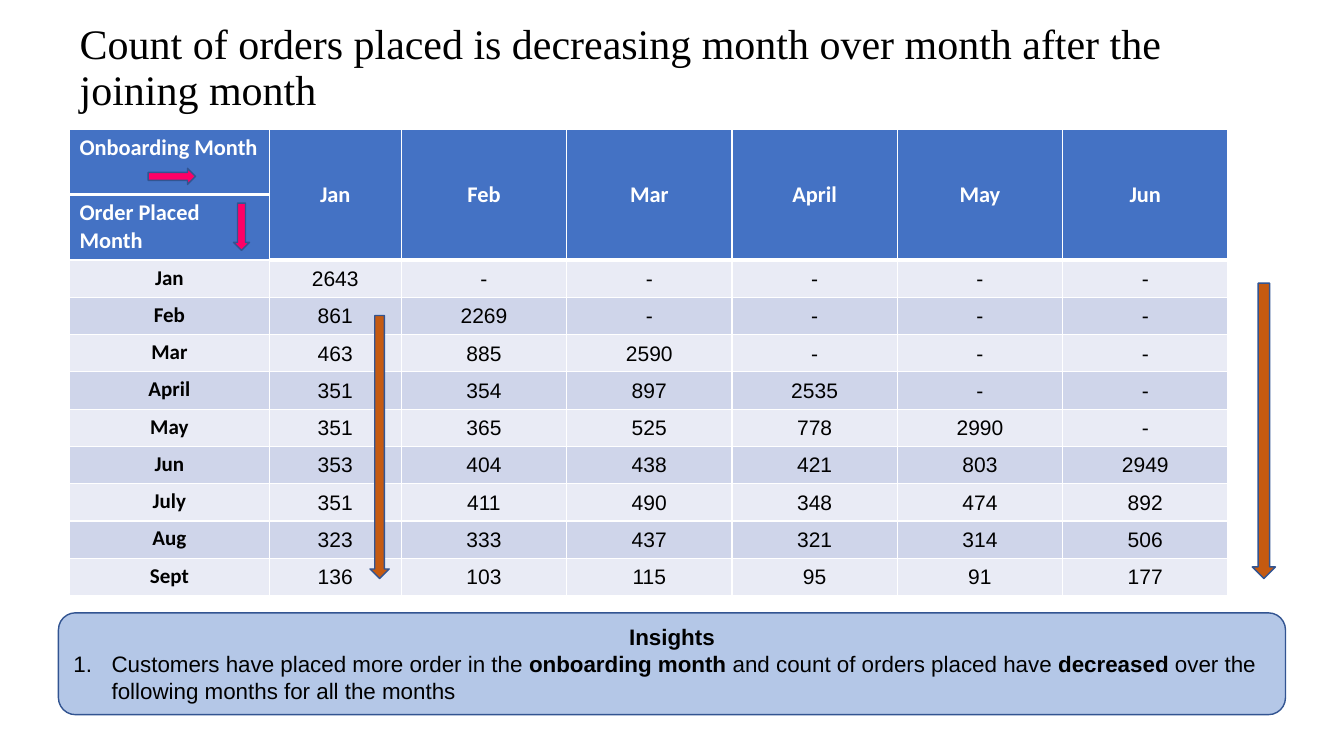
"""Build the slide on orders placed per onboarding month."""
from lxml import etree
from pptx import Presentation
from pptx import util as u
from pptx.dml.color import RGBColor
from pptx.enum import shapes, text
from pptx.oxml import ns

HUES = {"head": "4472C4", "odd": "E9EBF5", "even": "CFD5EA", "white": "FFFFFF",
        "black": "000000", "pink": "FF0066", "rust": "C55A11",
        "panel": "B4C7E7", "edge": "325491"}
WIDE, HIGH = 13.33, 7.5
LEFT, TOP, SPAN = 0.69, 1.28, 11.5
COLS = [1.98, 1.31] + [1.64] * 5
ROWS = [0.65] * 2 + [0.37] * 9
HEADS = ["Jan", "Feb", "Mar", "April", "May", "Jun"]
COUNTS = {
    "Jan": [2643],
    "Feb": [861, 2269],
    "Mar": [463, 885, 2590],
    "April": [351, 354, 897, 2535],
    "May": [351, 365, 525, 778, 2990],
    "Jun": [353, 404, 438, 421, 803, 2949],
    "July": [351, 411, 490, 348, 474, 892],
    "Aug": [323, 333, 437, 321, 314, 506],
    "Sept": [136, 103, 115, 95, 91, 177],
}


def style(para, face, size, hue="black", bold=False, align=text.PP_ALIGN.CENTER):
    para.alignment = align
    para.font.name, para.font.size, para.font.bold = face, u.Pt(size), bold
    para.font.color.rgb = RGBColor.from_string(HUES[hue])


def draw(kind, box, hue, turn=0):
    item = slide.shapes.add_shape(kind, *map(u.Inches, box))
    item.rotation = turn
    item.shadow.inherit = False
    item.fill.solid()
    item.fill.fore_color.rgb = RGBColor.from_string(HUES[hue])
    item.line.color.rgb = RGBColor.from_string(HUES["edge"])
    item.line.width = u.Pt(1)
    return item


deck = Presentation()
deck.slide_width, deck.slide_height = u.Inches(WIDE), u.Inches(HIGH)
slide = deck.slides.add_slide(deck.slide_layouts[5])

title = slide.shapes.title
title.left, title.top, title.width, title.height = map(
    u.Inches, (LEFT, 0.26, SPAN, 0.85))
title.text = ("Count of orders placed is decreasing month over month "
              "after the joining month")
title.text_frame.vertical_anchor = text.MSO_ANCHOR.MIDDLE
para = title.text_frame.paragraphs[0]
para.line_spacing = 0.9
style(para, "Times New Roman", 30, align=text.PP_ALIGN.LEFT)

grid = slide.shapes.add_table(
    len(ROWS), len(COLS), *map(u.Inches, (LEFT, TOP, SPAN, sum(ROWS)))).table
for col, size in zip(grid.columns, COLS):
    col.width = u.Inches(size)
for row, size in zip(grid.rows, ROWS):
    row.height = u.Inches(size)

lines = [["Onboarding Month"] + HEADS, ["Order Placed Month"] + [""] * len(HEADS)]
for month, counts in COUNTS.items():
    lines.append([month] + counts + ["-"] * (len(HEADS) - len(counts)))

for r, line in enumerate(lines):
    for c, value in enumerate(line):
        cell = grid.cell(r, c)
        cell.text = str(value)
        para = cell.text_frame.paragraphs[0]
        if r < 2:
            fill = "head"
            side = text.PP_ALIGN.CENTER if c else text.PP_ALIGN.LEFT
            style(para, "Calibri", 16, "white", True, side)
        else:
            fill = "even" if r % 2 else "odd"
            style(para, "Arial" if c else "Calibri", 15, bold=c == 0)
        if c:
            cell.vertical_anchor = text.MSO_ANCHOR.MIDDLE
        if c and r > 1:
            cell.margin_left = cell.margin_right = cell.margin_top = u.Inches(0.01)
            cell.margin_bottom = 0
        props = cell._tc.get_or_add_tcPr()
        for tag in ("lnL", "lnR", "lnT", "lnB"):
            thick = tag == "lnB" and (r == 0 or r == 1 and c > 0)
            rule = etree.SubElement(props, ns.qn(f"a:{tag}"),
                                    w=str(u.Pt(3 if thick else 1)))
            paint = etree.SubElement(rule, ns.qn("a:solidFill"))
            etree.SubElement(paint, ns.qn("a:srgbClr"), val=HUES["white"])
        cell.fill.solid()
        cell.fill.fore_color.rgb = RGBColor.from_string(HUES[fill])
for c in range(1, len(COLS)):
    grid.cell(0, c).merge(grid.cell(1, c))

arrow = shapes.MSO_SHAPE.RIGHT_ARROW
for box, hue, turn in [
    ((1.47, 1.67, 0.47, 0.16), "pink", 0),
    ((2.16, 2.17, 0.47, 0.16), "pink", 90),
    ((11.07, 4.16, 2.93, 0.23), "rust", 90),
    ((2.46, 4.34, 2.61, 0.19), "rust", 90),
]:
    draw(arrow, box, hue, turn)

panel = draw(shapes.MSO_SHAPE.ROUNDED_RECTANGLE, (0.58, 6.08, 12.17, 1.01), "panel")
frame = panel.text_frame
frame.word_wrap = True
frame.vertical_anchor = text.MSO_ANCHOR.MIDDLE
head = frame.paragraphs[0]
head.text = "Insights"
style(head, "Arial", 16, bold=True)
note = frame.add_paragraph()
style(note, "Arial", 16, align=text.PP_ALIGN.LEFT)
for words, bold in [
    ("Customers have placed more order in the ", False),
    ("onboarding month ", True),
    ("and count of orders placed have ", False),
    ("decreased", True),
    (" over the following months for all the months", False),
]:
    run = note.add_run()
    run.text, run.font.bold = words, bold
props = note._p.get_or_add_pPr()
props.set("marL", str(u.Inches(0.38)))
props.set("indent", str(u.Inches(-0.38)))
mark = etree.Element(ns.qn("a:buAutoNum"), type="arabicPeriod")
props.insert(0, mark)

deck.save("out.pptx")
